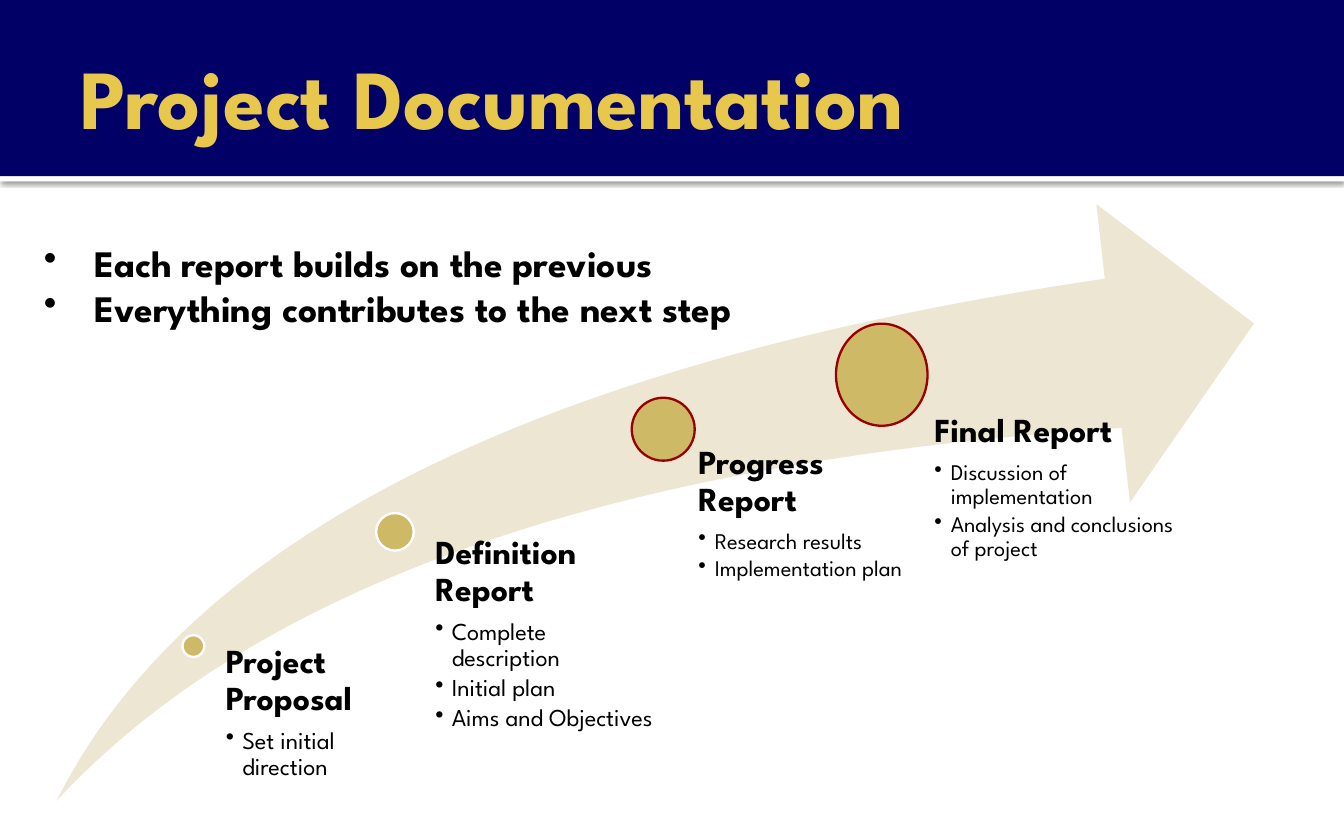
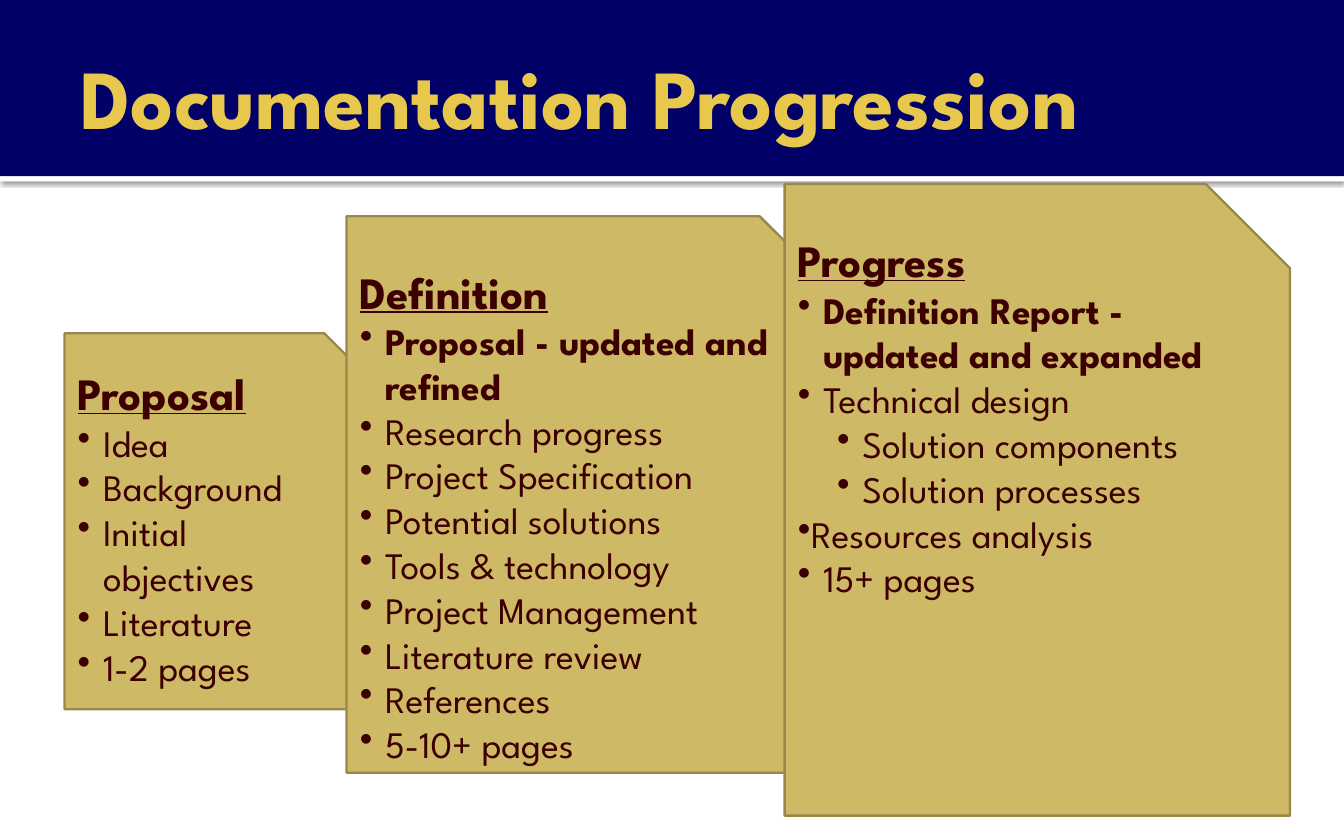
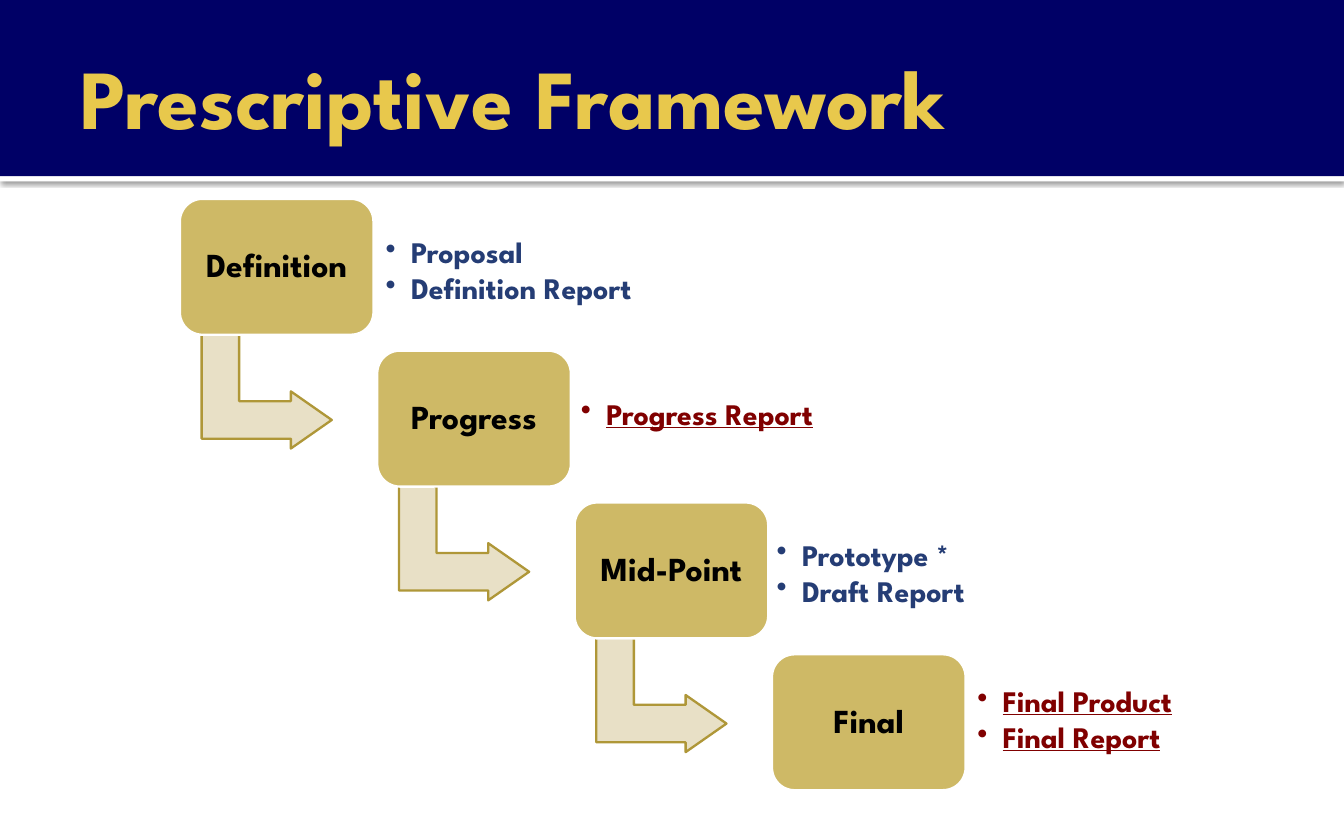
import pptx
import pptx.dml.color
import pptx.enum.shapes
import pptx.enum.text
import pptx.oxml
import pptx.oxml.ns
import pptx.util
from pptx.util import Cm

RGBColor = pptx.dml.color.RGBColor
Pt = pptx.util.Pt
SHAPE = pptx.enum.shapes.MSO_SHAPE
MIDDLE = pptx.enum.text.MSO_ANCHOR.MIDDLE
TOP = pptx.enum.text.MSO_ANCHOR.TOP
LEFT = pptx.enum.text.PP_ALIGN.LEFT
CENTER = pptx.enum.text.PP_ALIGN.CENTER

FONT = "League Spartan"
WHITE = RGBColor(0xFF, 0xFF, 0xFF)
BLACK = RGBColor(0, 0, 0)
NAVY = RGBColor(0, 0, 0x66)
TITLE_GOLD = RGBColor(0xE8, 0xC8, 0x4C)
GOLD = RGBColor(0xCE, 0xB9, 0x66)
DARK_GOLD = RGBColor(0x98, 0x89, 0x4B)
ARROW_LINE = RGBColor(0xAF, 0x97, 0x38)
ARROW_FILL = RGBColor(0xE8, 0xE0, 0xC6)
SWOOSH_FILL = RGBColor(0xED, 0xE6, 0xD3)
RED = RGBColor(0x99, 0, 0)
MAROON = RGBColor(0x80, 0, 0)
DARK_BROWN = RGBColor(0x3C, 0, 0)
BLUE = RGBColor(0x25, 0x3D, 0x75)


def add_shape(slide, kind, box, fill, line=None):
    shape = slide.shapes.add_shape(kind, *[Cm(length) for length in box])
    shape.shadow.inherit = False
    shape.fill.solid()
    shape.fill.fore_color.rgb = fill
    if line is None:
        shape.line.fill.background()
    else:
        shape.line.color.rgb = line
        shape.line.width = Pt(1.25)
    return shape


def write_text(frame, color, paragraphs, margins=(0.25, 0.13, 0.25, 0.13), anchor=TOP):
    left, top, right, bottom = [Cm(margin) for margin in margins]
    frame_format = {
        "word_wrap": True,
        "auto_size": pptx.enum.text.MSO_AUTO_SIZE.NONE,
        "vertical_anchor": anchor,
        "margin_left": left,
        "margin_top": top,
        "margin_right": right,
        "margin_bottom": bottom,
    }
    for name, value in frame_format.items():
        setattr(frame, name, value)
    for index, (text, style) in enumerate(paragraphs):
        paragraph = frame.add_paragraph() if index else frame.paragraphs[0]
        if "indent" in style:
            margin, indent = style["indent"]
            properties = paragraph._p.get_or_add_pPr()
            properties.set("marL", str(Cm(margin)))
            properties.set("indent", str(Cm(indent)))
            bullet = pptx.oxml.parse_xml(f'<a:buChar {pptx.oxml.ns.nsdecls("a")} char="•"/>')
            properties.append(bullet)
        for name, value in ({"alignment": LEFT} | style.get("paragraph", {})).items():
            setattr(paragraph, name, value)
        run = paragraph.add_run()
        run.text = text
        for name, value in ({"name": FONT, "bold": False} | style["font"]).items():
            setattr(run.font, name, value)
        run.font.color.rgb = color


presentation = pptx.Presentation()
presentation.slide_width = Cm(25.4)
presentation.slide_height = Cm(15.88)
layout = presentation.slide_layouts[5]

slides = []
title_style = {"font": {"size": Pt(45), "bold": True}}
for title in ["Project Documentation", "Documentation Progression", "Prescriptive Framework"]:
    slide = presentation.slides.add_slide(layout)
    placeholder = slide.shapes.title
    title_box = {"left": Cm(1.27), "top": Cm(0.36), "width": Cm(22.86), "height": Cm(2.9)}
    for name, value in title_box.items():
        setattr(placeholder, name, value)
    write_text(placeholder.text_frame, TITLE_GOLD, [(title, title_style)],
               (0.25, 0.13, 0.13, 0.13), MIDDLE)
    slides.append(slide)
documentation, progression, framework = slides

band = add_shape(documentation, SHAPE.RECTANGLE, (0, 0, 25.4, 3.33), NAVY)
strip = add_shape(documentation, SHAPE.RECTANGLE, (0, 3.33, 25.4, 0.1), WHITE)
strip_effects = strip._element.spPr.find(pptx.oxml.ns.qn("a:effectLst"))
strip_effects.append(pptx.oxml.parse_xml(
    f'<a:outerShdw {pptx.oxml.ns.nsdecls("a")} blurRad="{Pt(2.5)}" dist="{Pt(0.8)}" '
    'dir="5400000" algn="t" rotWithShape="0">'
    '<a:srgbClr val="000000"><a:alpha val="60000"/></a:srgbClr></a:outerShdw>'))
for shape in (band, strip):
    layout.shapes._spTree.insert(2, shape._element)

swoosh = add_shape(documentation, SHAPE.SWOOSH_ARROW, (1.07, 3.86, 22.63, 11.28), SWOOSH_FILL)
swoosh.adjustments[0] = 0.25
swoosh.adjustments[1] = 0.25

heading_spacing = {"line_spacing": 0.9, "space_after": Pt(6)}
detail_spacing = {"line_spacing": 0.9, "space_after": Pt(2), "level": 1}
heading_style = {"paragraph": heading_spacing, "font": {"size": Pt(18), "bold": True}}
milestones = [
    ((3.45, 12.01, 0.41, 0.41), WHITE, (4.04, 12.19, 3.91, 3.25), 0.23, TOP, 13,
     "Project Proposal", ["Set initial direction"]),
    ((7.11, 9.7, 0.71, 0.71), WHITE, (7.85, 10.13, 4.52, 5.16), 0.38, TOP, 13,
     "Definition Report", ["Complete description", "Initial plan", "Aims and Objectives"]),
    ((11.94, 7.52, 1.19, 1.19), RED, (12.7, 8.43, 4.52, 4.6), 0.5, TOP, 12,
     "Progress Report", ["Research results", "Implementation plan"]),
    ((15.8, 6.12, 1.73, 1.93), RED, (16.99, 7.26, 5.28, 3.91), 0.67, MIDDLE, 12,
     "Final Report", ["Discussion of implementation", "Analysis and conclusions of project"]),
]
for dot_box, outline, text_box, inset, anchor, size, heading, details in milestones:
    add_shape(documentation, SHAPE.OVAL, dot_box, GOLD, outline)
    label = documentation.shapes.add_textbox(*[Cm(length) for length in text_box])
    detail_style = {"indent": (0.31, -0.31), "paragraph": detail_spacing, "font": {"size": Pt(size)}}
    paragraphs = [(heading, heading_style)] + [(detail, detail_style) for detail in details]
    write_text(label.text_frame, BLACK, paragraphs, (inset, 0, 0, 0), anchor)

message_style = {"indent": (0.95, -0.95), "font": {"size": Pt(20), "bold": True}}
messages = ["Each report builds on the previous", "Everything contributes to the next step"]
message_box = documentation.shapes.add_textbox(Cm(0.58), Cm(4.42), Cm(14.58), Cm(1.96))
write_text(message_box.text_frame, BLACK, [(message, message_style) for message in messages])

report_style = {"font": {"size": Pt(24), "bold": True, "underline": True}}
item = {"indent": (0.48, -0.48), "font": {"size": Pt(20)}}
key_item = {"indent": (0.48, -0.48), "font": {"size": Pt(20), "bold": True}}
sub_item = {"indent": (1.22, -0.48), "paragraph": {"level": 1}, "font": {"size": Pt(20)}}
tight_item = {"indent": (0, -0.53), "font": {"size": Pt(20)}}
reports = [
    ((1.22, 6.3, 5.89, 7.11), 0.25, "Proposal", [
        ("Idea", item), ("Background", item), ("Initial objectives", item),
        ("Literature", item), ("1-2 pages", item)]),
    ((6.55, 4.09, 9.37, 10.52), 0.25, "Definition", [
        ("Proposal - updated and refined", key_item), ("Research progress", item),
        ("Project Specification", item), ("Potential solutions", item),
        ("Tools & technology", item), ("Project Management", item),
        ("Literature review", item), ("References", item), ("5-10+ pages", item)]),
    ((14.83, 3.48, 9.55, 11.94), 0, "Progress", [
        ("Definition Report - updated and expanded", key_item), ("Technical design", item),
        ("Solution components", sub_item), ("Solution processes", sub_item),
        ("Resources analysis", tight_item), ("15+ pages", item)]),
]
for box, right_margin, report, contents in reports:
    page = add_shape(progression, SHAPE.SNIP_1_RECTANGLE, box, GOLD, DARK_GOLD)
    write_text(page.text_frame, DARK_BROWN, [(report, report_style)] + contents,
               (0.25, 0.13, right_margin, 0.13))

stage_margins = (0.18, 0.18, 0.18, 0.18)
stage_style = {"paragraph": {"line_spacing": 0.9, "alignment": CENTER},
               "font": {"size": Pt(18), "bold": True}}
stages = [
    ("Definition", (7.11, 4.11, 5.64, 2.06), BLUE, False, ["Proposal", "Definition Report"]),
    ("Progress", (10.8, 6.83, 5.33, 2.06), MAROON, True, ["Progress Report"]),
    ("Mid-Point", (14.5, 9.83, 4.98, 2.06), BLUE, False, ["Prototype *", "Draft Report"]),
    ("Final", (18.29, 12.6, 4.83, 2.06), MAROON, True, ["Final Product", "Final Report"]),
]
for index, (stage, box, color, underline, deliverables) in enumerate(stages):
    across, down = index * 3.73, index * 2.87
    if index < len(stages) - 1:
        arrow = add_shape(framework, SHAPE.BENT_UP_ARROW,
                          (3.96 + across, 6.17 + down, 2.16, 2.46), ARROW_FILL, ARROW_LINE)
        arrow.rotation = 90
        for position, adjustment in enumerate([0.328, 0.25, 0.358]):
            arrow.adjustments[position] = adjustment
    block = add_shape(framework, SHAPE.ROUNDED_RECTANGLE,
                      (3.4 + across, 3.76 + down, 3.66, 2.57), GOLD, WHITE)
    write_text(block.text_frame, BLACK, [(stage, stage_style)], stage_margins, MIDDLE)
    deliverable_style = {"indent": (0.48, -0.48), "paragraph": detail_spacing,
                         "font": {"size": Pt(16), "bold": True, "underline": underline}}
    label = framework.shapes.add_textbox(*[Cm(length) for length in box])
    write_text(label.text_frame, color, [(name, deliverable_style) for name in deliverables],
               stage_margins, MIDDLE)

presentation.save("out.pptx")
